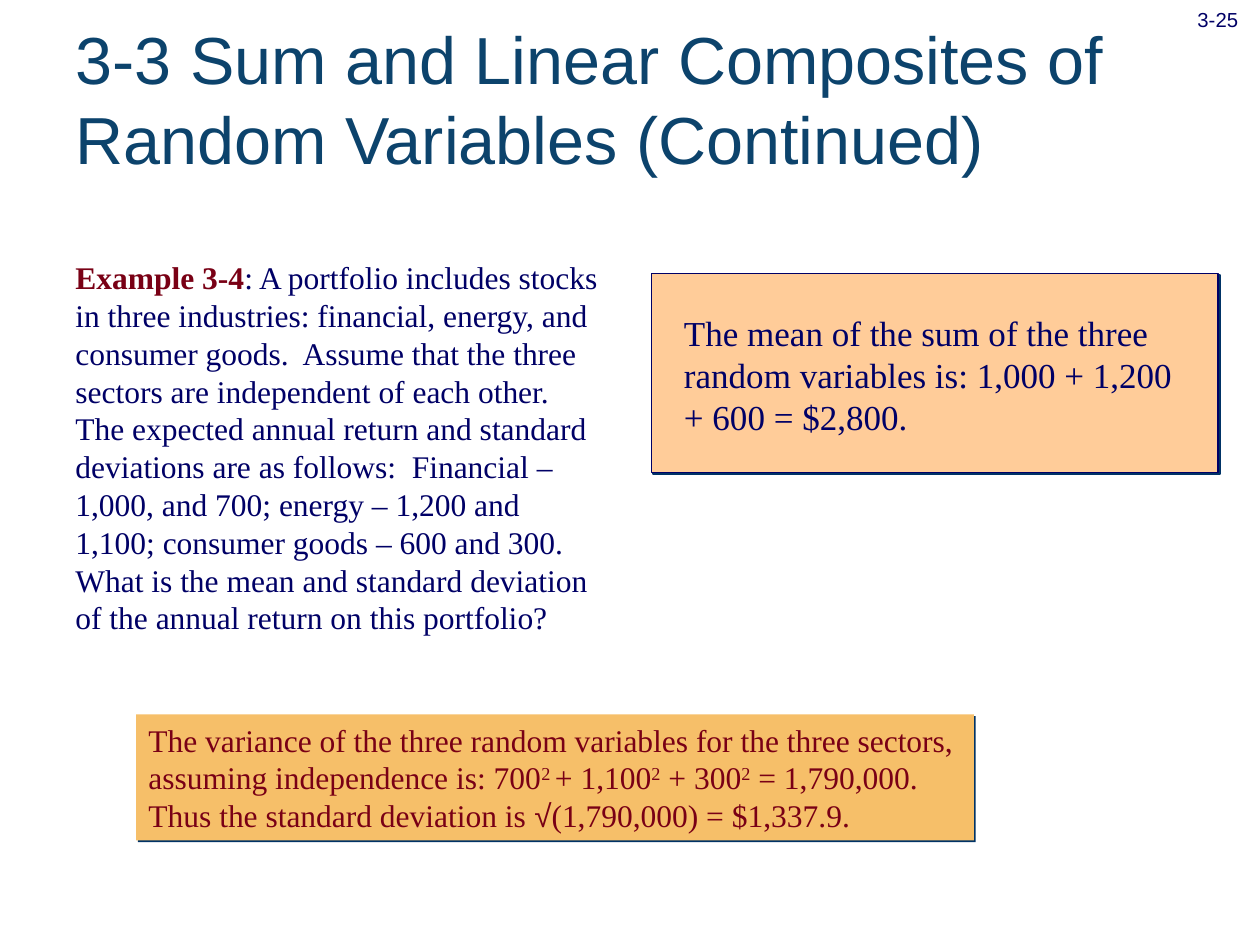
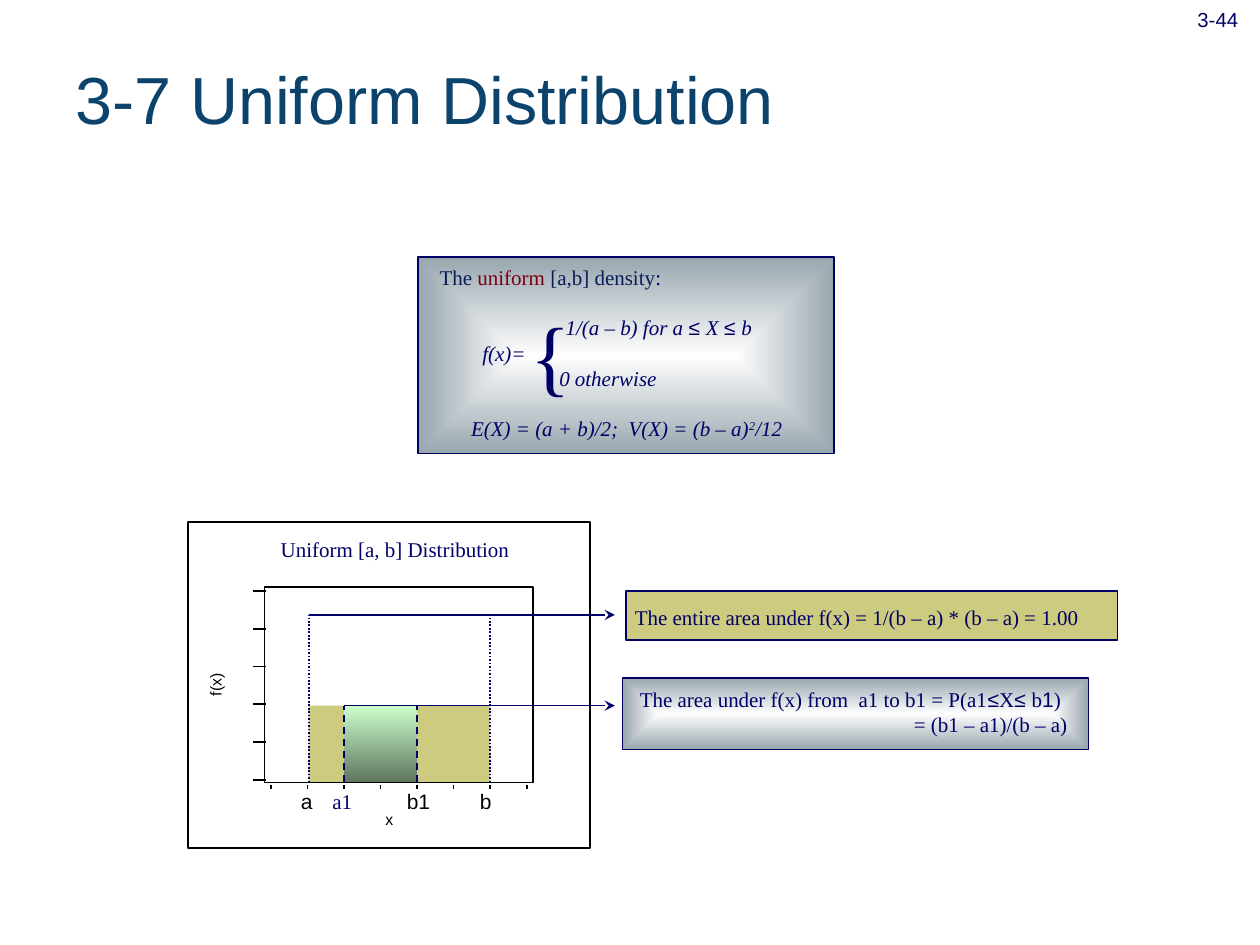
"""Build two statistics slides: a portfolio example and the uniform distribution."""
from dataclasses import dataclass
from typing import NamedTuple, Optional

from lxml.etree import SubElement
from pptx import Presentation
from pptx.dml.color import RGBColor
from pptx.enum.dml import MSO_LINE
from pptx.enum.shapes import MSO_CONNECTOR, MSO_SHAPE
from pptx.enum.text import MSO_ANCHOR, MSO_AUTO_SIZE, PP_ALIGN
from pptx.oxml.ns import qn
from pptx.util import Inches, Pt

NAVY, INK, MAROON, BLACK = "000066", "081D58", "790015", "000000"
TITLE_BLUE, SHADOW_BLUE = "0C436C", "003366"
WHITE, PEACH, AMBER, KHAKI = "FFFFFF", "FFCC99", "F6BF69", "CDCB7F"
SILVER, MINT = ("FEFEFE", "98A6AE"), ("CCFFCC", "5E755E")
SERIF, SANS = "Times New Roman", "Arial"
LEADING = 1.2


class Box(NamedTuple):
    left: float
    top: float
    width: float
    height: float


class Run(NamedTuple):
    text: str
    color: Optional[str] = None
    font: Optional[str] = None
    bold: Optional[bool] = None
    baseline: int = 0


@dataclass
class Line:
    runs: list[Run]
    indent: float = 0
    before: float = 0
    italic: bool = False
    align: PP_ALIGN = PP_ALIGN.LEFT


@dataclass
class Label:
    box: Box
    lines: list[Line]
    size: float = 12
    font: str = SERIF
    color: str = NAVY
    fill: Optional[str] = None
    shadow: bool = False
    rotation: float = 0


@dataclass
class Panel:
    box: Box
    fill: Optional[str] = None
    gradient: Optional[tuple[str, str]] = None
    radial: bool = False
    outline: Optional[str] = NAVY
    shadow: bool = False


class Stroke(NamedTuple):
    start: tuple[float, float]
    end: tuple[float, float]
    color: str = NAVY
    dash: Optional[MSO_LINE] = None
    arrow: bool = False


def rgb(color: str) -> RGBColor:
    return RGBColor.from_string(color)


def inches(box: Box) -> list[int]:
    return [Inches(value) for value in box]


def plain(text: str, **options) -> Line:
    return Line([Run(text)], **options)


def set_shadow(shape, visible: bool) -> None:
    shape.shadow.inherit = False
    if visible:
        effects = shape._element.spPr.find(qn("a:effectLst"))
        shadow = SubElement(effects, qn("a:outerShdw"), blurRad="0",
                            dist=str(Pt(1.4)), dir="2700000", algn="ctr", rotWithShape="0")
        SubElement(shadow, qn("a:srgbClr"), val=SHADOW_BLUE)


def set_gradient(shape, colors: tuple[str, str], radial: bool) -> None:
    shape.fill.gradient()
    shape.fill.gradient_angle = 270
    for stop, color in zip(shape.fill.gradient_stops, colors):
        stop.color.rgb = rgb(color)
    if radial:
        gradient = shape._element.spPr.find(qn("a:gradFill"))
        gradient.remove(gradient.find(qn("a:lin")))
        center = SubElement(gradient, qn("a:path"), path="rect")
        SubElement(center, qn("a:fillToRect"), l="50000", t="50000", r="50000", b="50000")


def add_panel(slide, panel: Panel) -> None:
    shape = slide.shapes.add_shape(MSO_SHAPE.RECTANGLE, *inches(panel.box))
    if panel.gradient:
        set_gradient(shape, panel.gradient, panel.radial)
    elif panel.fill:
        shape.fill.solid()
        shape.fill.fore_color.rgb = rgb(panel.fill)
    else:
        shape.fill.background()
    if panel.outline:
        shape.line.color.rgb = rgb(panel.outline)
        shape.line.width = Pt(1)
    else:
        shape.line.fill.background()
    set_shadow(shape, panel.shadow)


def format_paragraph(paragraph, size: float, font: str, color: str) -> None:
    paragraph.line_spacing = Pt(size * LEADING)
    paragraph.font.size = Pt(size)
    paragraph.font.name = font
    paragraph.font.color.rgb = rgb(color)


def add_run(paragraph, item: Run) -> None:
    run = paragraph.add_run()
    run.text = item.text
    if item.color:
        run.font.color.rgb = rgb(item.color)
    if item.font:
        run.font.name = item.font
    if item.bold:
        run.font.bold = True
    if item.baseline:
        run._r.get_or_add_rPr().set("baseline", str(item.baseline * 1000))


def add_label(slide, label: Label) -> None:
    shape = slide.shapes.add_textbox(*inches(label.box))
    shape.rotation = label.rotation
    if label.fill:
        shape.fill.solid()
        shape.fill.fore_color.rgb = rgb(label.fill)
    if label.shadow:
        set_shadow(shape, True)
    frame = shape.text_frame
    frame.word_wrap = True
    for index, line in enumerate(label.lines):
        paragraph = frame.add_paragraph() if index else frame.paragraphs[0]
        paragraph.alignment = line.align
        if line.indent:
            paragraph._p.get_or_add_pPr().set("marL", str(Inches(line.indent)))
        if line.before:
            paragraph.space_before = Pt(line.before)
        format_paragraph(paragraph, label.size, label.font, label.color)
        if line.italic:
            paragraph.font.italic = True
        for item in line.runs:
            add_run(paragraph, item)


def add_stroke(slide, stroke: Stroke) -> None:
    points = [Inches(value) for value in stroke.start + stroke.end]
    connector = slide.shapes.add_connector(MSO_CONNECTOR.STRAIGHT, *points)
    connector.line.color.rgb = rgb(stroke.color)
    connector.line.width = Pt(1)
    if stroke.dash:
        connector.line.dash_style = stroke.dash
    properties = connector._element.spPr
    if stroke.arrow:
        SubElement(properties.find(qn("a:ln")), qn("a:tailEnd"), type="stealth")
    SubElement(properties, qn("a:effectLst"))


def add_titled_slide(presentation, title: str, number: str):
    slide = presentation.slides.add_slide(presentation.slide_layouts[5])
    shape = slide.shapes.title
    shape.left, shape.top, shape.width, shape.height = inches(Box(0.5, 0.15, 9.27, 1.25))
    frame = shape.text_frame
    frame.text = title
    frame.word_wrap = True
    frame.auto_size = MSO_AUTO_SIZE.NONE
    frame.vertical_anchor = MSO_ANCHOR.MIDDLE
    frame.paragraphs[0].alignment = PP_ALIGN.LEFT
    format_paragraph(frame.paragraphs[0], 38, SANS, TITLE_BLUE)
    page_number = Line([Run(number, baseline=-25)], align=PP_ALIGN.CENTER)
    add_label(slide, Label(Box(9.29, -0.13, 0.75, 0.48), [page_number], 20, SANS))
    return slide


def build_portfolio_slide(presentation) -> None:
    slide = add_titled_slide(
        presentation, "3-3 Sum and Linear Composites of Random Variables (Continued)", "3-25")
    example = Line([
        Run("Example 3-4", MAROON, bold=True),
        Run(": A portfolio includes stocks in three industries: financial, energy, and "
            "consumer goods.  Assume that the three sectors are independent of each other.  "
            "The expected annual return and standard deviations are as follows:  Financial – "
            "1,000, and 700; energy – 1,200 and 1,100; consumer goods – 600 and 300. What is "
            "the mean and standard deviation of the annual return on this portfolio?")])
    mean = plain("The mean of the sum of the three random variables is: "
                 "1,000 + 1,200 + 600 = $2,800.")
    variance = [
        plain("The variance of the three random variables for the three sectors,"),
        Line([Run("assuming independence is: 700"), Run("2 ", baseline=30),
              Run("+ 1,100"), Run("2", baseline=30), Run(" + 300"),
              Run("2", baseline=30), Run(" = 1,790,000.")]),
        Line([Run("Thus the standard deviation is "), Run("√", font=SANS),
              Run("(1,790,000) = $1,337.9.")])]
    add_label(slide, Label(Box(0.5, 2, 4.38, 3.1), [example], 18, fill=WHITE))
    add_panel(slide, Panel(Box(5.17, 2.17, 4.5, 1.58), PEACH, shadow=True))
    add_label(slide, Label(Box(5.33, 2.42, 4.08, 1.1), [mean], 20, fill=PEACH))
    add_label(slide, Label(Box(1.08, 5.67, 6.65, 1), variance, 18, color=MAROON,
                           fill=AMBER, shadow=True))


def add_density(slide) -> None:
    formula = [
        Line([Run("The ", INK), Run("uniform", MAROON), Run(" [a,b] density", INK), Run(":")]),
        Line([Run("1/(a – b) for a "), Run("≤ ", font=SANS), Run("X "),
              Run("≤ ", font=SANS), Run("b")], indent=1, before=14.4, italic=True),
        plain("f(x)=", indent=0.34, italic=True),
        plain("0 otherwise", indent=0.95, italic=True),
        Line([Run("E(X) = (a + b)/2;  V(X) = (b – a)"), Run("2", baseline=30), Run("/12")],
             indent=0.25, before=14.4, italic=True)]
    add_panel(slide, Panel(Box(3.32, 2.04, 3.3, 1.56), gradient=SILVER, radial=True))
    add_label(slide, Label(Box(3.39, 2.05, 2.98, 1.5), formula))
    add_label(slide, Label(Box(4.11, 2.35, 0.52, 0.9), [plain("{")], 48))


def add_distribution_plot(slide) -> None:
    base, density, top = 6.21, 5.6, 4.88
    a, a1, b1, b = 2.45, 2.73, 3.31, 3.89
    for left, right in ((a, a1), (b1, b)):
        add_panel(slide, Panel(Box(left, density, right - left, base - density), KHAKI,
                               outline=None))
    add_panel(slide, Panel(Box(a1, density, b1 - a1, base - density), gradient=MINT,
                           outline=None))
    for frame in (Box(1.49, 4.14, 3.19, 2.59), Box(2.1, 4.66, 2.13, 1.55)):
        add_panel(slide, Panel(frame, outline=BLACK))
    for index in range(8):
        x = 2.15 + index * 0.29
        add_stroke(slide, Stroke((x, 6.23), (x, 6.26), BLACK))
    for index in range(6):
        y = 4.69 + index * 0.3
        add_stroke(slide, Stroke((2.11, y), (2.01, y), BLACK))
    for x in (a, b):
        add_stroke(slide, Stroke((x, base), (x, top), dash=MSO_LINE.ROUND_DOT))
    for x in (a1, b1):
        add_stroke(slide, Stroke((x, base), (x, density), dash=MSO_LINE.DASH))
    for x, y in ((a, top), (a1, density)):
        add_stroke(slide, Stroke((x, y), (4.88, y), arrow=True))
    for left, width, text in ((2.29, 0.25, "a"), (3.13, 0.42, "b1"), (3.71, 0.25, "b")):
        add_label(slide, Label(Box(left, base, width, 0.3), [plain(text)], 12, SANS, BLACK))
    add_label(slide, Label(Box(2.54, base, 0.42, 0.3), [plain("a1")]))
    add_label(slide, Label(Box(2.13, 4.21, 2.17, 0.3), [plain("Uniform [a, b] Distribution")]))
    for box, text, rotation in ((Box(2.89, 6.38, 0.4, 0.25), "x", 0),
                                (Box(1.41, 5.31, 0.6, 0.25), "f(x)", 270)):
        add_label(slide, Label(box, [plain(text, align=PP_ALIGN.CENTER)], 9, SANS, BLACK,
                               rotation=rotation))


def add_area_notes(slide) -> None:
    partial_area = [
        Line([Run("The area under f(x) from  a1 to b1 = P(a1"), Run("≤", font=SANS), Run("X"),
              Run("≤ ", font=SANS), Run("b"), Run("1", font=SANS), Run(")")]),
        plain("= (b1 – a1)/(b – a)", align=PP_ALIGN.RIGHT)]
    entire_area = plain("The entire area under f(x) = 1/(b – a) * (b – a) = 1.00")
    add_panel(slide, Panel(Box(4.97, 4.69, 3.9, 0.39), KHAKI))
    add_label(slide, Label(Box(4.94, 4.75, 4.02, 0.3), [entire_area]))
    add_panel(slide, Panel(Box(4.94, 5.38, 3.7, 0.57), gradient=SILVER, radial=True))
    add_label(slide, Label(Box(4.98, 5.4, 3.59, 0.7), partial_area))


def build_uniform_slide(presentation) -> None:
    slide = add_titled_slide(presentation, "3-7 Uniform Distribution", "3-44")
    add_density(slide)
    add_distribution_plot(slide)
    add_area_notes(slide)


def main() -> None:
    presentation = Presentation()
    presentation.slide_width, presentation.slide_height = Inches(10), Inches(7.5)
    build_portfolio_slide(presentation)
    build_uniform_slide(presentation)
    presentation.save("out.pptx")


if __name__ == "__main__":
    main()
